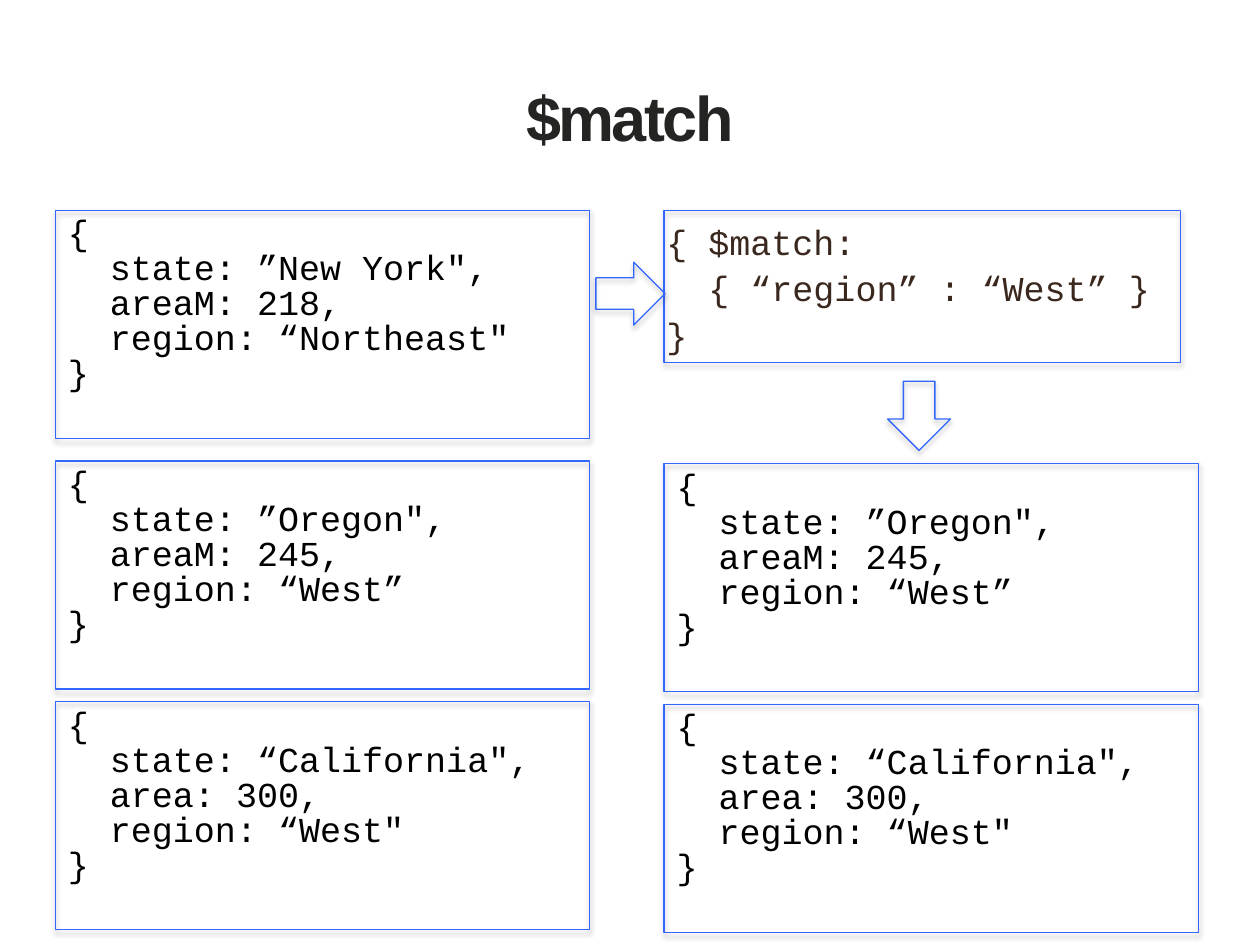
from dataclasses import dataclass

from lxml import etree
from pptx import Presentation
from pptx.dml.color import RGBColor
from pptx.enum.shapes import MSO_SHAPE
from pptx.enum.text import MSO_ANCHOR, PP_ALIGN
from pptx.oxml import parse_xml
from pptx.oxml.ns import nsdecls
from pptx.util import Pt

RECTANGLE = MSO_SHAPE.RECTANGLE
RIGHT_ARROW = MSO_SHAPE.RIGHT_ARROW
MIDDLE = MSO_ANCHOR.MIDDLE
TOP = MSO_ANCHOR.TOP
CENTER = PP_ALIGN.CENTER
LEFT = PP_ALIGN.LEFT

OUTLINE = "3366FF"
INPUT_X, OUTPUT_X = 31.7, 379.5
RECORD_W, RECORD_H = 305.3, 130.3
STAGE_W, STAGE_H = 295.2, 87.1
STAGE_Y = 120.2
ARROW_W, ARROW_H = 39.6, 36

SHADOW = (
    f'<a:effectLst {nsdecls("a")}><a:outerShdw blurRad="{Pt(3.1)}" dist="{Pt(1.8)}" '
    'dir="5400000" rotWithShape="0"><a:srgbClr val="000000"><a:alpha val="35000"/>'
    "</a:srgbClr></a:outerShdw></a:effectLst>"
)


@dataclass(frozen=True)
class Box:
    """A position and size in points."""

    x: float
    y: float
    w: float
    h: float


@dataclass(frozen=True)
class State:
    """One document of the collection."""

    lines: tuple[str, ...]


@dataclass(frozen=True)
class Style:
    """The look of a text block."""

    font: dict
    color: str
    paragraph: dict
    anchor: MSO_ANCHOR = TOP
    tracking: int = 0


NEW_YORK = State(("{", "  state: ”New York\",", "  areaM: 218,", "  region: “Northeast\"", "}"))
OREGON = State(("{", "  state: ”Oregon\",", "  areaM: 245,", "  region: “West”", "}"))
CALIFORNIA = State(("{", "  state: “California\",", "  area: 300,", "  region: “West\"", "}"))
MATCH_STAGE = ("{ $match:", "  { “region” : “West” }", "}")

PLACED_STATES = (
    (NEW_YORK, INPUT_X, STAGE_Y),
    (OREGON, INPUT_X, 263.5),
    (CALIFORNIA, INPUT_X, 401),
    (OREGON, OUTPUT_X, 265),
    (CALIFORNIA, OUTPUT_X, 402.5),
)

CODE_FONT = {"name": "Courier New", "size": Pt(20)}
TITLE_STYLE = Style(
    {"name": "Arial", "size": Pt(36), "bold": True}, "242423", {"alignment": CENTER}, MIDDLE, -150
)
STATE_STYLE = Style(CODE_FONT, "000000", {"alignment": LEFT, "line_spacing": Pt(20)})
STAGE_STYLE = Style(CODE_FONT, "3A281E", {"alignment": LEFT, "line_spacing": 1.1})


def rgb(value: str) -> RGBColor:
    """Turn a hex string into a colour."""
    return RGBColor.from_string(value)


def apply(target: object, values: dict) -> None:
    """Set each named attribute on the target."""
    for name, value in values.items():
        setattr(target, name, value)


def add_outline(slide, kind: MSO_SHAPE, box: Box, rotation: float = 0) -> None:
    """Draw an unfilled preset shape with a blue line and a soft shadow."""
    outline = slide.shapes.add_shape(kind, Pt(box.x), Pt(box.y), Pt(box.w), Pt(box.h))
    outline.rotation = rotation
    outline.fill.background()
    outline.line.color.rgb = rgb(OUTLINE)
    outline.line.width = Pt(0.75)
    outline.shadow.inherit = False
    properties = outline.line._get_or_add_ln().getparent()
    effects = properties.find("{*}effectLst")
    properties.replace(effects, parse_xml(etree.fromstring(SHADOW) is not None and SHADOW))


def add_text(slide, lines: tuple[str, ...], box: Box, style: Style) -> None:
    """Write lines as paragraphs in one text box."""
    block = slide.shapes.add_textbox(Pt(box.x), Pt(box.y), Pt(box.w), Pt(box.h))
    frame = block.text_frame
    frame.word_wrap = True
    frame.vertical_anchor = style.anchor
    for index, line in enumerate(lines):
        paragraph = frame.add_paragraph() if index else frame.paragraphs[0]
        apply(paragraph, style.paragraph)
        run = paragraph.add_run()
        run.text = line
        apply(run.font, style.font)
        run.font.color.rgb = rgb(style.color)
        if style.tracking:
            run.font._element.set("spc", str(style.tracking))


def add_state(slide, state: State, x: float, y: float) -> None:
    """Draw one outlined state document."""
    add_outline(slide, RECTANGLE, Box(x, y, RECORD_W, RECORD_H))
    add_text(slide, state.lines, Box(x, y + 0.7, RECORD_W + 13, RECORD_H + 2), STATE_STYLE)


def main() -> None:
    """Build the slide and save it."""
    deck = Presentation()
    deck.slide_width, deck.slide_height = Pt(720), Pt(540)
    slide = deck.slides.add_slide(deck.slide_layouts[6])

    add_text(slide, ("$match",), Box(36, 21.6, 648, 90), TITLE_STYLE)
    add_outline(slide, RECTANGLE, Box(OUTPUT_X, STAGE_Y, STAGE_W, STAGE_H))
    add_text(slide, MATCH_STAGE, Box(OUTPUT_X - 5.8, STAGE_Y, STAGE_W, STAGE_H), STAGE_STYLE)
    add_outline(slide, RIGHT_ARROW, Box(340.5, 149.8, ARROW_W, ARROW_H))
    add_outline(slide, RIGHT_ARROW, Box(505.4, 219.6, ARROW_W, ARROW_H), 90)
    for state, x, y in PLACED_STATES:
        add_state(slide, state, x, y)

    deck.save("out.pptx")


if __name__ == "__main__":
    main()
